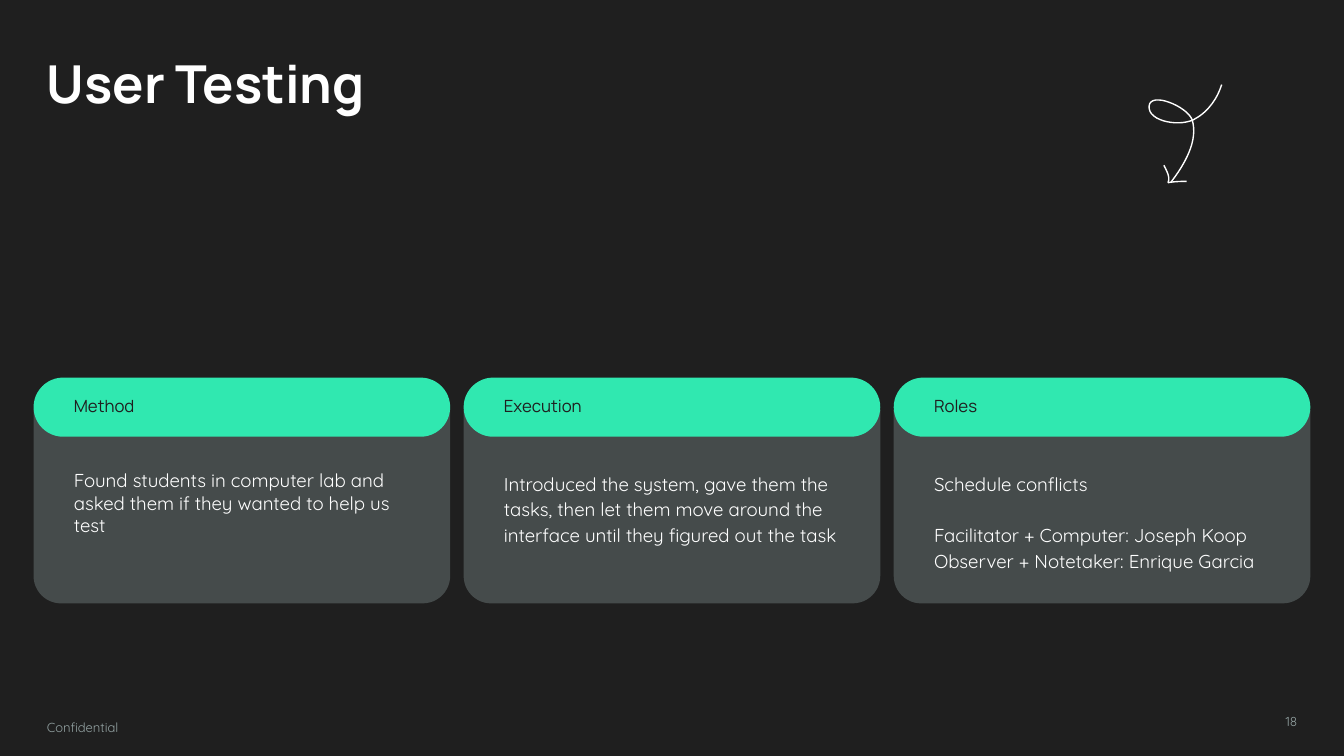
from pptx import Presentation
from pptx.dml.color import RGBColor
from pptx.enum.shapes import MSO_SHAPE
from pptx.enum.text import MSO_ANCHOR, PP_ALIGN
from pptx.util import Inches, Pt

COLORS = {"bg": "1F1F1F", "card": "454B4B", "accent": "30E8B0",
          "white": "FFFFFF", "muted": "93A2A2"}

CARDS = [
    {"title": "Method", "spacing": 1.0, "body": [
        ("Found students in computer lab and asked them if they wanted to help us test", 0)]},
    {"title": "Execution", "spacing": 1.15, "body": [
        ("Introduced the system, gave them the tasks, then let them move around "
         "the interface until they figured out the task", 0)]},
    {"title": "Roles", "spacing": 1.15, "body": [
        ("Schedule conflicts", 0),
        ("Facilitator + Computer: Joseph Koop", 13.8),
        ("Observer + Notetaker: Enrique Garcia", 0)]},
]

ARROW = [
    [(9.09, 0.63),
     (9.06, 0.73), (8.99, 0.83), (8.9, 0.88),
     (8.8, 0.95), (8.54, 0.91), (8.55, 0.79),
     (8.56, 0.68), (8.83, 0.79), (8.87, 0.89),
     (8.92, 1.05), (8.81, 1.23), (8.71, 1.36)],
    [(8.66, 1.23), (8.68, 1.27), (8.71, 1.32), (8.69, 1.36)],
    [(8.69, 1.36), (8.74, 1.35), (8.78, 1.35), (8.83, 1.35)],
]

MARGIN, CARD_W, GAP = 0.25, 3.1, 0.1
STEPS = 16


def rgb(name):
    return RGBColor.from_string(COLORS[name])


def add_text(s, text, x, y, w, h, size=10, font="Quicksand", color="white",
             bold=False, align=PP_ALIGN.LEFT, anchor=MSO_ANCHOR.TOP,
             spacing=1.0, inset_x=0.1, inset_y=0.1):
    tf = s.shapes.add_textbox(Inches(x), Inches(y), Inches(w), Inches(h)).text_frame
    tf.word_wrap = True
    tf.vertical_anchor = anchor
    tf.margin_left = tf.margin_right = Inches(inset_x)
    tf.margin_top = tf.margin_bottom = Inches(inset_y)
    paragraphs = [(text, 0)] if isinstance(text, str) else text
    for i, (line, before) in enumerate(paragraphs):
        p = tf.add_paragraph() if i else tf.paragraphs[0]
        p.alignment = align
        p.line_spacing = spacing
        if before:
            p.space_before = Pt(before)
        r = p.add_run()
        r.text = line
        r.font.size = Pt(size)
        r.font.name = font
        r.font.bold = bold
        r.font.color.rgb = rgb(color)


def add_panel(s, kind, x, y, w, h, color, adjustments):
    sp = s.shapes.add_shape(kind, Inches(x), Inches(y), Inches(w), Inches(h))
    for i, value in enumerate(adjustments):
        sp.adjustments[i] = value
    sp.shadow.inherit = False
    sp.fill.solid()
    sp.fill.fore_color.rgb = rgb(color)
    sp.line.fill.background()


def bezier(a, b, c, d, t):
    u = 1 - t
    return tuple(Inches(u**3 * m + 3 * u * u * t * n + 3 * u * t * t * o + t**3 * q)
                 for m, n, o, q in zip(a, b, c, d))


def add_curve(s, points):
    start = points[0]
    builder = s.shapes.build_freeform(Inches(start[0]), Inches(start[1]))
    builder.add_line_segments(
        [bezier(*points[i:i + 4], k / STEPS)
         for i in range(0, len(points) - 1, 3) for k in range(1, STEPS + 1)],
        close=False)
    sp = builder.convert_to_shape()
    sp.shadow.inherit = False
    sp.fill.background()
    sp.line.color.rgb = rgb("white")
    sp.line.width = Pt(0.75)


def main():
    prs = Presentation()
    prs.slide_width = Inches(10)
    prs.slide_height = prs.slide_width * 9 // 16
    s = prs.slides.add_slide(prs.slide_layouts[6])
    s.background.fill.solid()
    s.background.fill.fore_color.rgb = rgb("bg")

    add_text(s, "User Testing", MARGIN, 0.28, 6.24, 0.67,
             size=28, font="Manrope", bold=True)
    for curve in ARROW:
        add_curve(s, curve)

    for i, card in enumerate(CARDS):
        x = MARGIN + i * (CARD_W + GAP)
        add_panel(s, MSO_SHAPE.ROUND_2_SAME_RECTANGLE, x, 3.05, CARD_W, 1.44,
                  "card", [0, 0.142])
        add_panel(s, MSO_SHAPE.ROUNDED_RECTANGLE, x, 2.81, CARD_W, 0.44,
                  "accent", [0.5])
        add_text(s, card["title"], x, 2.81, CARD_W, 0.44, size=9, font="Manrope",
                 color="bg", anchor=MSO_ANCHOR.MIDDLE, spacing=0.9,
                 inset_x=0.3, inset_y=0)
        add_text(s, card["body"], x, 3.39, CARD_W, 0.94 if i == 2 else 0.79,
                 spacing=card["spacing"], inset_x=0.3)

    add_text(s, "Confidential", MARGIN, 5.27, 1.22, 0.34, size=7,
             color="muted", spacing=1.15)
    add_text(s, "18", 7.35, 5.25, 2.4, 0.32, size=7, color="muted",
             align=PP_ALIGN.RIGHT)
    prs.save("out.pptx")


if __name__ == "__main__":
    main()
